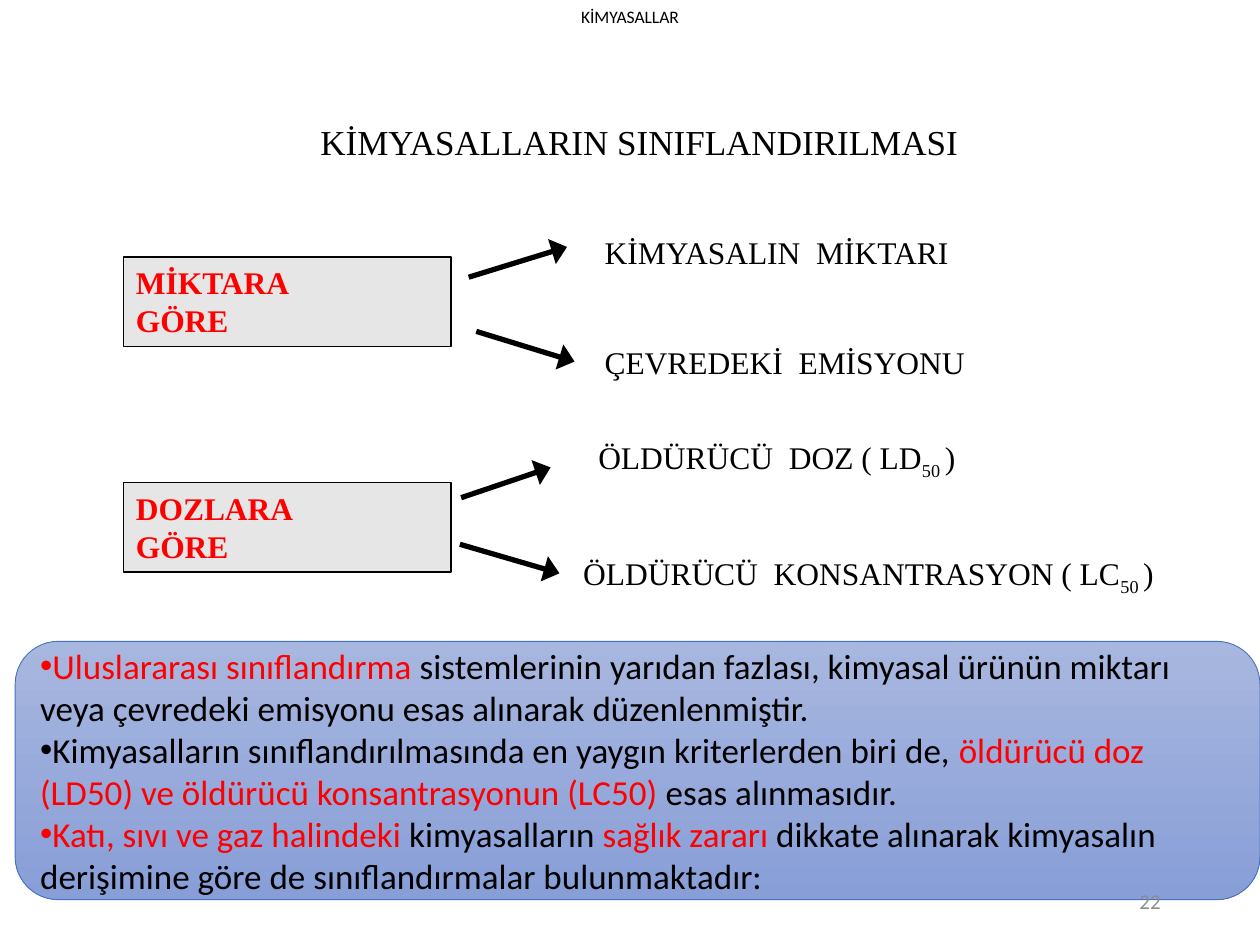
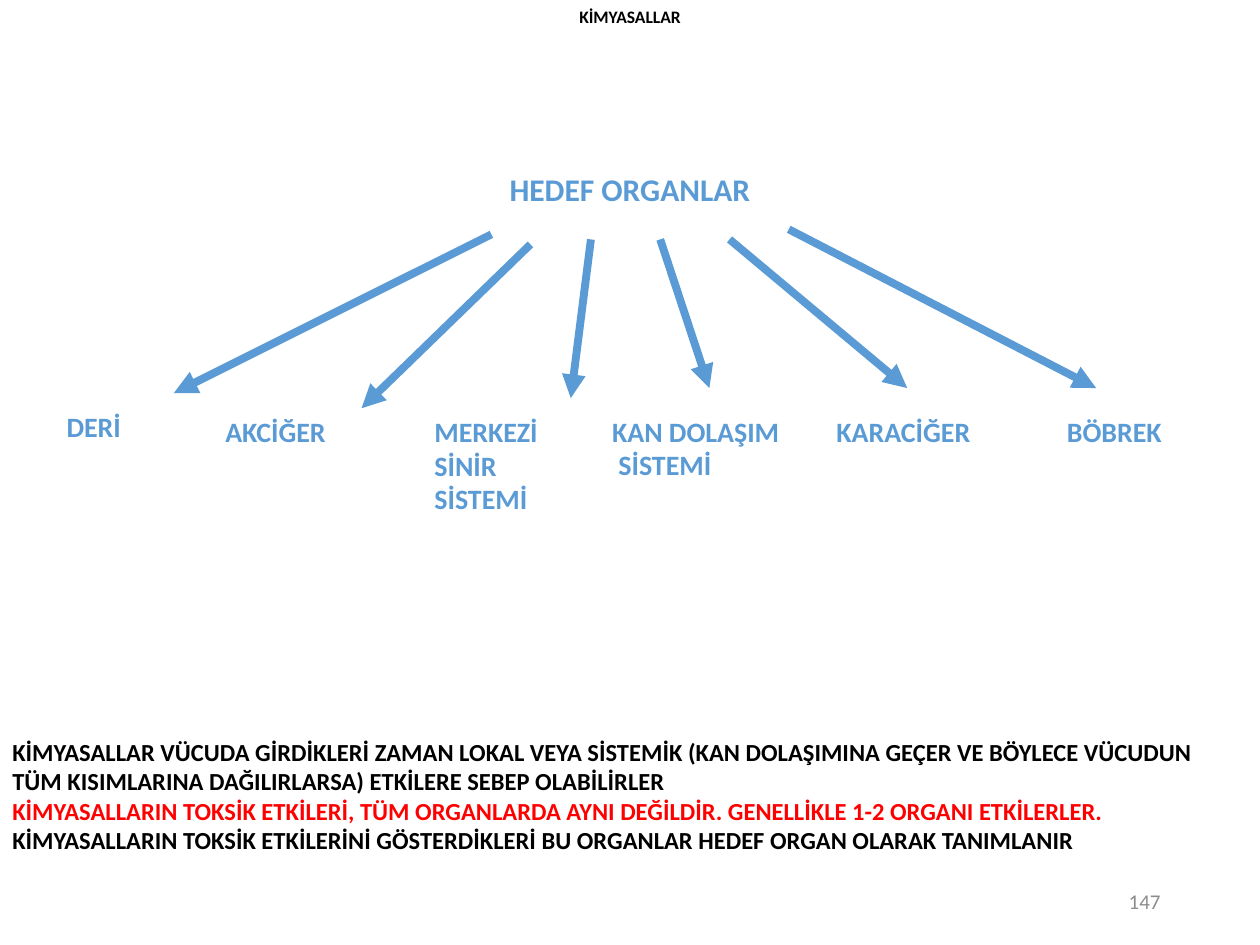
from pptx import Presentation
from pptx.dml.color import RGBColor
from pptx.enum.shapes import MSO_CONNECTOR, MSO_SHAPE
from pptx.enum.text import MSO_ANCHOR, PP_ALIGN
from pptx.oxml.ns import qn
from pptx.util import Inches, Pt
from lxml import etree

LEFT, CENTER, RIGHT = PP_ALIGN.LEFT, PP_ALIGN.CENTER, PP_ALIGN.RIGHT
TOP, MIDDLE = MSO_ANCHOR.TOP, MSO_ANCHOR.MIDDLE
RECT, ROUND_RECT = MSO_SHAPE.RECTANGLE, MSO_SHAPE.ROUNDED_RECTANGLE
STRAIGHT = MSO_CONNECTOR.STRAIGHT

BLACK, RED, BLUE, GREY = "000000", "FF0000", "5B9BD5", "8C8C8C"
BOX_FILL, PANEL_LINE = "E7E6E6", "4472C4"
PANEL_TOP, PANEL_BOTTOM = "A8B7DF", "889ED7"
SANS, SERIF = "Calibri", "Times New Roman"
SLIDE_W, SLIDE_H = 10, 7.5


def rgb(value):
    return RGBColor.from_string(value)


def write(sp, paragraphs, size, font=SANS, color=BLACK, bold=False,
          align=LEFT, anchor=TOP, wrap=True, bullet=None):
    """Each paragraph is a string or a list of (text, colour, baseline) runs."""
    tf = sp.text_frame
    tf.word_wrap = wrap
    tf.vertical_anchor = anchor
    for i, content in enumerate(paragraphs):
        p = tf.paragraphs[0] if i == 0 else tf.add_paragraph()
        p.alignment = align
        if bullet:
            pPr = p._p.get_or_add_pPr()
            pPr.set("marL", "0")
            pPr.set("indent", "0")
            etree.SubElement(pPr, qn("a:buFont")).set("typeface", "Arial")
            etree.SubElement(pPr, qn("a:buChar")).set("char", bullet)
        runs = [(content, color, 0)] if isinstance(content, str) else content
        for text, run_color, baseline in runs:
            r = p.add_run()
            r.text = text
            r.font.size = Pt(size)
            r.font.name = font
            r.font.bold = bold
            r.font.color.rgb = rgb(run_color)
            if baseline:
                r.font._element.set("baseline", str(baseline * 1000))


def add_text(s, box, paragraphs, size, **style):
    sp = s.shapes.add_textbox(*map(Inches, box))
    write(sp, paragraphs, size, **style)


def add_box(s, kind, box, line, line_width):
    sp = s.shapes.add_shape(kind, *map(Inches, box))
    sp.shadow.inherit = False
    sp.line.color.rgb = rgb(line)
    sp.line.width = Pt(line_width)
    return sp


def add_arrow(s, start, end, color, width, head_width="med"):
    cx = s.shapes.add_connector(STRAIGHT, *map(Inches, (*start, *end)))
    cx.line.color.rgb = rgb(color)
    cx.line.width = Pt(width)
    ln = cx.line._get_or_add_ln()
    head = etree.SubElement(ln, qn("a:tailEnd"))
    head.set("type", "triangle")
    head.set("w", head_width)
    etree.SubElement(cx._element.spPr, qn("a:effectLst"))


def new_slide(prs, bold_header):
    """Blank slide with the running header."""
    s = prs.slides.add_slide(prs.slide_layouts[6])
    add_text(s, (0, 0, SLIDE_W, 0.27), ["KİMYASALLAR"], 10,
             bold=bold_header, align=CENTER)
    return s


def slide_number(s, number):
    """Added last, so that it stays in front of the content."""
    add_text(s, (7.06, 6.95, 2.25, 0.4), [number], 12, color=GREY,
             align=RIGHT, anchor=MIDDLE)


def criterion(s, box, title, branches):
    """Grey box with arrows leading to its branches, offset from its corner."""
    left, top, _, _ = box
    sp = add_box(s, RECT, box, BLACK, 0.75)
    sp.fill.solid()
    sp.fill.fore_color.rgb = rgb(BOX_FILL)
    write(sp, title, 18, font=SERIF, color=RED, bold=True)
    for label, (dx, dy), width, start, end in branches:
        add_text(s, (left + dx, top + dy, width, 0.4), [label], 18,
                 font=SERIF, wrap=False)
        add_arrow(s, (left + start[0], top + start[1]),
                  (left + end[0], top + end[1]), BLACK, 3, head_width="lg")


def summary_panel(s, box, paragraphs):
    sp = add_box(s, ROUND_RECT, box, PANEL_LINE, 0.5)
    sp.fill.gradient()
    sp.fill.gradient_angle = 270
    for stop, color, position in zip(sp.fill.gradient_stops,
                                     (PANEL_TOP, PANEL_BOTTOM), (0, 1)):
        stop.color.rgb = rgb(color)
        stop.position = position
    write(sp, paragraphs, 20, anchor=MIDDLE, bullet="•")


def with_subscript(text):
    return [(text, BLACK, 0), ("50 ", BLACK, -25), (")", BLACK, 0)]


def classification_slide(prs):
    s = new_slide(prs, bold_header=False)
    add_text(s, (0.04, 0.91, SLIDE_W, 0.43),
             [" KİMYASALLARIN SINIFLANDIRILMASI"], 20, font=SERIF, align=CENTER)

    # Criteria: label, label offset, label width, arrow start, arrow end
    criterion(s, (0.98, 2.04, 2.6, 0.71), ["MİKTARA", "GÖRE"], [
        ("KİMYASALIN  MİKTARI", (3.72, -0.24), 2.98, (2.74, 0.16), (3.52, -0.08)),
        ("ÇEVREDEKİ  EMİSYONU", (3.72, 0.63), 3.06, (2.8, 0.59), (3.58, 0.83)),
    ])
    criterion(s, (0.98, 3.83, 2.6, 0.71), ["DOZLARA", "GÖRE"], [
        (with_subscript("ÖLDÜRÜCÜ  DOZ ( LD"), (3.67, -0.4), 3.06,
         (2.68, 0.12), (3.39, -0.12)),
        (with_subscript("ÖLDÜRÜCÜ  KONSANTRASYON ( LC"), (3.55, 0.52), 4.76,
         (2.67, 0.49), (3.46, 0.72)),
    ])

    # Summary
    summary_panel(s, (0.12, 5.09, 9.88, 2.05), [
        [("Uluslararası sınıflandırma ", RED, 0),
         ("sistemlerinin yarıdan fazlası, kimyasal ürünün miktarı veya "
          "çevredeki emisyonu esas alınarak düzenlenmiştir.", BLACK, 0)],
        [("Kimyasalların sınıflandırılmasında en yaygın kriterlerden biri de, ",
          BLACK, 0),
         ("öldürücü doz (LD50) ve öldürücü konsantrasyonun (LC50)", RED, 0),
         (" esas alınmasıdır.", BLACK, 0)],
        [("Katı, sıvı ve gaz halindeki ", RED, 0),
         ("kimyasalların ", BLACK, 0),
         ("sağlık zararı ", RED, 0),
         ("dikkate alınarak kimyasalın derişimine göre de sınıflandırmalar "
          "bulunmaktadır:", BLACK, 0)],
    ])
    slide_number(s, "22")


def organ_tree(s, top, organs):
    """Root title with one arrow and one label for each organ."""
    add_text(s, (0, top, SLIDE_W, 0.4), ["HEDEF ORGANLAR"], 18,
             color=BLUE, bold=True, align=CENTER)
    for lines, (left, dy), width, start, end in organs:
        height = 0.1 + 0.27 * len(lines)
        add_text(s, (left, top + dy, width, height), lines, 16,
                 color=BLUE, bold=True, wrap=False)
        add_arrow(s, (start[0], top + start[1]), (end[0], top + end[1]),
                  BLUE, 4.5)


def target_organs_slide(prs):
    s = new_slide(prs, bold_header=True)

    # Organs: lines, label place, label width, arrow start, arrow end
    organ_tree(s, 1.3, [
        (["DERİ"], (0.43, 1.9), 0.78, (3.9, 0.56), (1.38, 1.82)),
        (["AKCİĞER"], (1.69, 1.94), 1.3, (4.21, 0.64), (2.87, 1.94)),
        (["MERKEZİ", "SİNİR", "SİSTEMİ"], (3.35, 1.94), 1.3,
         (4.69, 0.6), (4.53, 1.86)),
        (["KAN DOLAŞIM", " SİSTEMİ"], (4.76, 1.94), 1.81,
         (5.24, 0.6), (5.63, 1.78)),
        (["KARACİĞER"], (6.54, 1.94), 1.61, (5.79, 0.6), (7.2, 1.78)),
        (["BÖBREK"], (8.37, 1.94), 1.2, (6.26, 0.52), (8.7, 1.78)),
    ])

    # Explanation
    add_text(s, (0, 5.8, SLIDE_W, 1.28), [
        "KİMYASALLAR VÜCUDA GİRDİKLERİ ZAMAN LOKAL VEYA SİSTEMİK (KAN "
        "DOLAŞIMINA GEÇER VE BÖYLECE VÜCUDUN TÜM KISIMLARINA DAĞILIRLARSA) "
        "ETKİLERE SEBEP OLABİLİRLER",
        [("KİMYASALLARIN TOKSİK ETKİLERİ, TÜM ORGANLARDA AYNI DEĞİLDİR. "
          "GENELLİKLE 1-2 ORGANI ETKİLERLER.", RED, 0),
         (" KİMYASALLARIN TOKSİK ETKİLERİNİ GÖSTERDİKLERİ BU ORGANLAR "
          "HEDEF ORGAN OLARAK TANIMLANIR", BLACK, 0)],
    ], 14, bold=True)
    slide_number(s, "147")


def main():
    prs = Presentation()
    prs.slide_width, prs.slide_height = Inches(SLIDE_W), Inches(SLIDE_H)
    classification_slide(prs)
    target_organs_slide(prs)
    prs.save("out.pptx")


if __name__ == "__main__":
    main()
